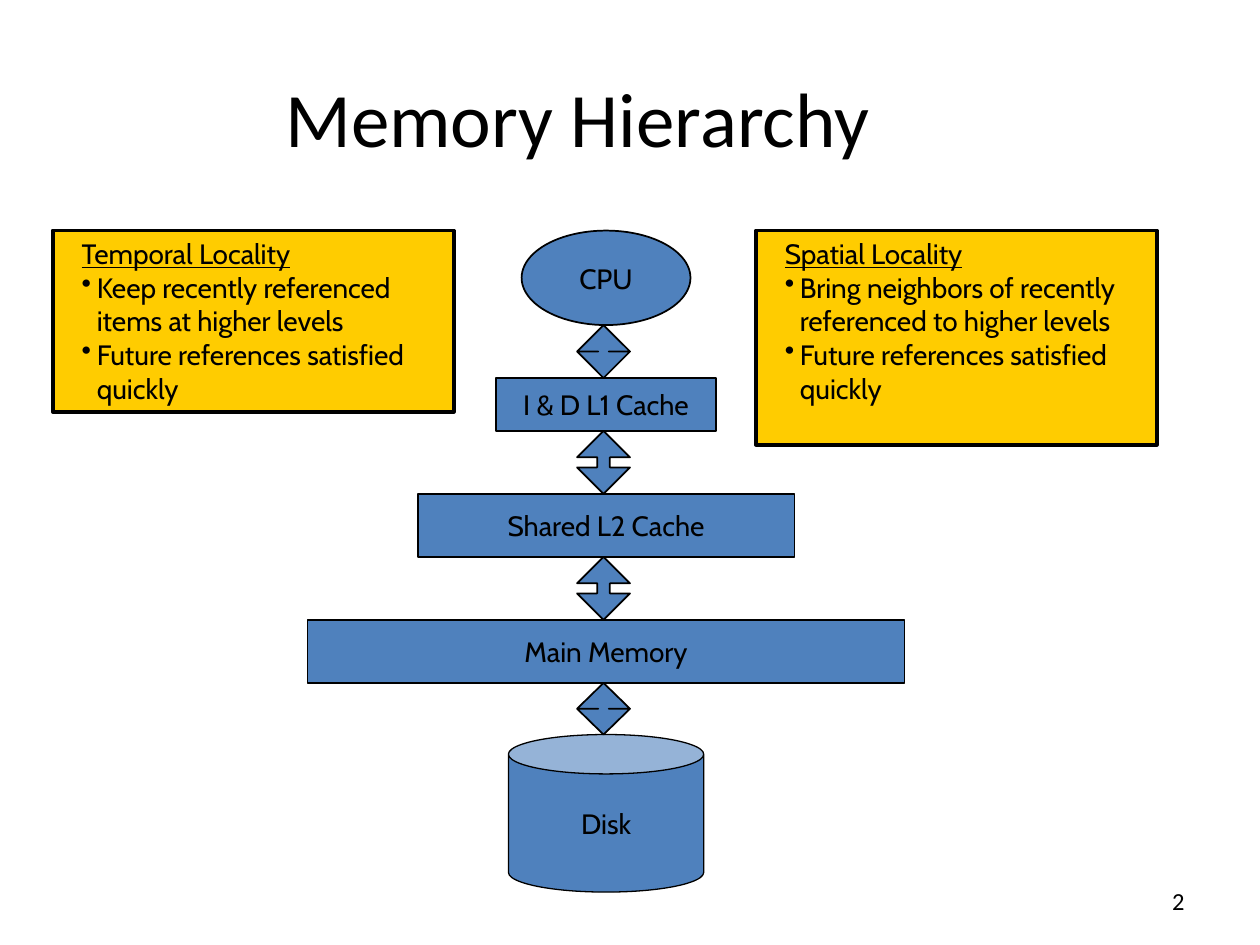
"""Build the Memory Hierarchy slide."""
import pptx
import pptx.dml.color
import pptx.enum.shapes
import pptx.enum.text
import pptx.oxml
import pptx.oxml.ns
import pptx.util
from dataclasses import dataclass

Inches, Pt = pptx.util.Inches, pptx.util.Pt
SHAPE = pptx.enum.shapes.MSO_SHAPE
ALIGN = pptx.enum.text.PP_ALIGN
ANCHOR = pptx.enum.text.MSO_ANCHOR


@dataclass(frozen=True)
class Theme:
    ink: str = "000000"
    level: str = "4F81BD"
    note: str = "FFCC00"
    title_font: str = "Calibri"
    body_font: str = "Cabin"
    title_size: float = 44
    body_size: float = 16
    number_size: float = 14
    thin: float = 0.75
    line: float = 1
    thick: float = 2.25


THEME = Theme()
TITLE = "Memory Hierarchy"
SLIDE_NUMBER = "2"
LEVELS = [
    ("CPU", SHAPE.OVAL, 1.83, 1.34, 0.75, THEME.line),
    ("I & D L1 Cache", SHAPE.RECTANGLE, 3, 1.75, 0.42, THEME.line),
    ("Shared L2 Cache", SHAPE.RECTANGLE, 3.92, 2.99, 0.5, THEME.line),
    ("Main Memory", SHAPE.RECTANGLE, 4.92, 4.74, 0.5, THEME.line),
    ("Disk", SHAPE.CAN, 5.83, 1.55, 1.25, THEME.thin),
]
NOTES = [
    (0.42, 1.44, "Temporal Locality", [
        "Keep recently referenced items at higher levels",
        "Future references satisfied quickly",
    ]),
    (6, 1.7, "Spatial Locality", [
        "Bring neighbors of recently referenced to higher levels",
        "Future references satisfied quickly",
    ]),
]
LEVEL_CENTER = 4.81
ARROW_LEFT, ARROW_WIDTH = 4.58, 0.42
NOTE_TOP, NOTE_WIDTH = 1.83, 3.18


def rgb(color):
    return pptx.dml.color.RGBColor.from_string(color)


def add_run(p, text, size=THEME.body_size, font=THEME.body_font):
    r = p.add_run()
    r.text = text
    r.font.size = Pt(size)
    r.font.name = font
    r.font.color.rgb = rgb(THEME.ink)
    return r


def add_box(s, kind, left, top, width, height, fill, weight):
    sp = s.shapes.add_shape(kind, *map(Inches, (left, top, width, height)))
    sp.shadow.inherit = False
    sp.fill.solid()
    sp.fill.fore_color.rgb = rgb(fill)
    sp.line.color.rgb = rgb(THEME.ink)
    sp.line.width = Pt(weight)
    return sp


def add_level(s, text, kind, top, width, height, weight):
    left = LEVEL_CENTER - width / 2
    sp = add_box(s, kind, left, top, width, height, THEME.level, weight)
    tf = sp.text_frame
    tf.word_wrap = False
    tf.vertical_anchor = ANCHOR.MIDDLE
    p = tf.paragraphs[0]
    p.alignment = ALIGN.CENTER
    add_run(p, text)


def add_arrow(s, top, bottom):
    height = bottom - top
    sp = add_box(s, SHAPE.UP_DOWN_ARROW, ARROW_LEFT, top, ARROW_WIDTH, height,
                 THEME.level, THEME.line)
    sp.adjustments[0] = 0.5
    sp.adjustments[1] = 0.2 * height / ARROW_WIDTH


def format_note_paragraph(p, bullet):
    p.alignment = ALIGN.LEFT
    pPr = p._p.get_or_add_pPr()
    pPr.set("marL", str(Inches(0.25)))
    pPr.set("indent", str(Inches(-0.12)))
    if bullet:
        ns = pptx.oxml.ns.nsdecls("a")
        pPr.append(pptx.oxml.parse_xml(
            f'<a:buClr {ns}><a:srgbClr val="{THEME.ink}"/></a:buClr>'))
        pPr.append(pptx.oxml.parse_xml(f'<a:buChar {ns} char="•"/>'))


def add_note(s, left, height, heading, points):
    sp = add_box(s, SHAPE.RECTANGLE, left, NOTE_TOP, NOTE_WIDTH, height,
                 THEME.note, THEME.thick)
    tf = sp.text_frame
    tf.word_wrap = True
    tf.vertical_anchor = ANCHOR.TOP
    p = tf.paragraphs[0]
    format_note_paragraph(p, bullet=False)
    add_run(p, heading).font.underline = True
    for point in points:
        p = tf.add_paragraph()
        format_note_paragraph(p, bullet=True)
        add_run(p, point)


def add_title(s):
    sp = s.shapes.title
    sp.left, sp.top, sp.width, sp.height = map(Inches, (0.5, 0.3, 8.17, 1.25))
    tf = sp.text_frame
    tf.vertical_anchor = ANCHOR.MIDDLE
    p = tf.paragraphs[0]
    p.alignment = ALIGN.CENTER
    add_run(p, TITLE, THEME.title_size, THEME.title_font)


def add_slide_number(s):
    sp = s.shapes.add_textbox(*map(Inches, (8.33, 6.95, 1.17, 0.4)))
    tf = sp.text_frame
    tf.word_wrap = True
    tf.vertical_anchor = ANCHOR.MIDDLE
    p = tf.paragraphs[0]
    p.alignment = ALIGN.RIGHT
    add_run(p, SLIDE_NUMBER, THEME.number_size, THEME.title_font)


def main():
    prs = pptx.Presentation()
    prs.slide_width, prs.slide_height = Inches(10), Inches(7.5)
    s = prs.slides.add_slide(prs.slide_layouts[5])
    add_title(s)
    add_slide_number(s)
    for level in LEVELS:
        add_level(s, *level)
    for upper, lower in zip(LEVELS, LEVELS[1:]):
        add_arrow(s, upper[2] + upper[4], lower[2])
    for note in NOTES:
        add_note(s, *note)
    prs.save("out.pptx")


if __name__ == "__main__":
    main()
